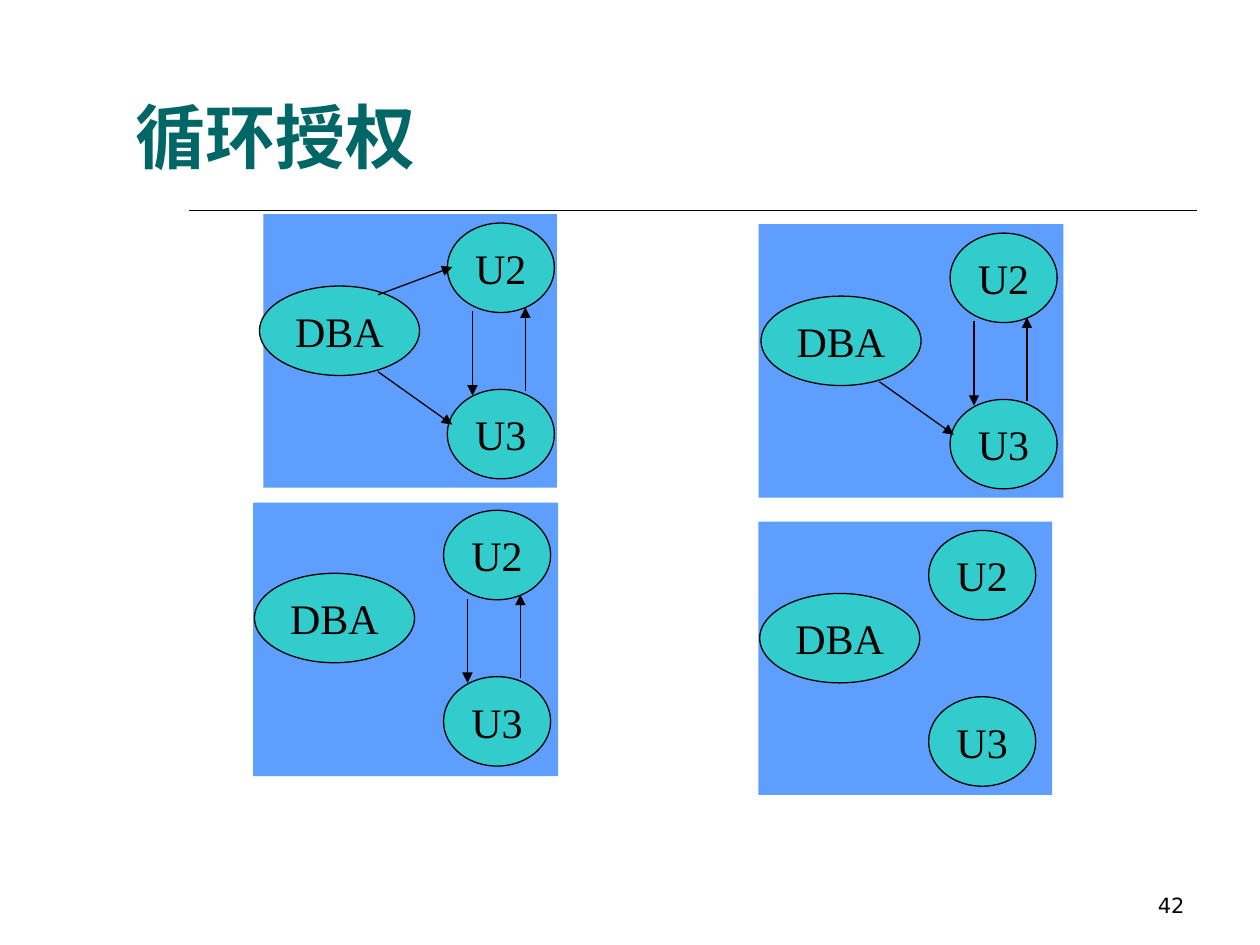
from lxml.etree import SubElement
from pptx import Presentation
from pptx.dml.color import RGBColor
from pptx.enum.shapes import MSO_CONNECTOR, MSO_SHAPE
from pptx.enum.text import MSO_ANCHOR, PP_ALIGN
from pptx.oxml.ns import qn
from pptx.util import Inches, Pt

BLACK = RGBColor(0x00, 0x00, 0x00)
TEAL = RGBColor(0x00, 0x66, 0x66)
TURQUOISE = RGBColor(0x33, 0xCC, 0xCC)
BLUE = RGBColor(0x5E, 0x9E, 0xFF)

deck = Presentation()
deck.slide_width = Inches(10)
deck.slide_height = Inches(7.5)
COLUMN = deck.slide_width / 10
ROW = deck.slide_height / 7.5
page = deck.slides.add_slide(deck.slide_layouts[6])


def write(box, text, font, size, color, align, anchor, bold=False):
    frame = box.text_frame
    frame.text = text
    frame.vertical_anchor = anchor
    para = frame.paragraphs[0]
    para.alignment = align
    span = para.runs[0]
    span.font.name = font
    span.font.size = Pt(size)
    span.font.bold = bold
    span.font.color.rgb = color


def draw_line(start_x, start_y, end_x, end_y, weight, arrow=False):
    line = page.shapes.add_connector(
        MSO_CONNECTOR.STRAIGHT,
        round(start_x * COLUMN), round(start_y * ROW),
        round(end_x * COLUMN), round(end_y * ROW))
    line.line.color.rgb = BLACK
    line.line.width = Pt(weight)
    if arrow:
        SubElement(line.line._get_or_add_ln(), qn("a:tailEnd"), type="triangle")
    SubElement(line._element.spPr, qn("a:effectLst"))


draw_line(1.5, 1.67, 9.5, 1.67, 1)

labels = [
    ("42", 7.17, 6.83, 2.33, 0.5, "DejaVu Sans", 12, BLACK, PP_ALIGN.RIGHT, False),
    ("循环授权", 0.98, 0.21, 8, 1.25, "Arial", 40, TEAL, PP_ALIGN.LEFT, True),
]
for text, left, top, width, height, font, size, color, align, bold in labels:
    box = page.shapes.add_textbox(
        round(left * COLUMN), round(top * ROW), round(width * COLUMN), round(height * ROW))
    box.text_frame.word_wrap = True
    write(box, text, font, size, color, align, MSO_ANCHOR.BOTTOM, bold)

PANEL_HEIGHT = 2.17
NODE_HEIGHT = 0.71
GRANTS = {
    "DBA-U3": (0.94, 1.18, 1.53, 1.6),
    "DBA-U2": (0.94, 0.57, 1.53, 0.35),
    "U2-U3": (1.69, 0.7, 1.69, 1.37),
    "U3-U2": (2.11, 1.33, 2.11, 0.67),
}
cycle = ["U2-U3", "U3-U2"]
stages = [
    ((6.02, 4.14, 2.33), (6.03, 4.21), 1.34, []),
    ((2.01, 3.99, 2.42), (2.02, 4.05), 1.5, cycle),
    ((6.02, 1.78, 2.42), (6.04, 1.85), 1.5, ["DBA-U3"] + cycle),
    ((2.09, 1.7, 2.33), (2.06, 1.77), 1.49, ["DBA-U3", "DBA-U2"] + cycle),
]

for (panel_left, panel_top, panel_width), (left, top), user_offset, grants in stages:
    panel = page.shapes.add_shape(
        MSO_SHAPE.RECTANGLE, round(panel_left * COLUMN), round(panel_top * ROW),
        round(panel_width * COLUMN), round(PANEL_HEIGHT * ROW))
    panel.shadow.inherit = False
    panel.fill.solid()
    panel.fill.fore_color.rgb = BLUE
    panel.line.fill.background()

    nodes = [("DBA", 0, 0.5, 1.27), ("U2", user_offset, 0, 0.85), ("U3", user_offset, 1.32, 0.85)]
    for name, across, down, width in nodes:
        node = page.shapes.add_shape(
            MSO_SHAPE.OVAL, round((left + across) * COLUMN), round((top + down) * ROW),
            round(width * COLUMN), round(NODE_HEIGHT * ROW))
        node.shadow.inherit = False
        node.fill.solid()
        node.fill.fore_color.rgb = TURQUOISE
        node.line.color.rgb = BLACK
        node.line.width = Pt(0.75)
        node.text_frame.word_wrap = False
        write(node, name, "Times New Roman", 24, BLACK, PP_ALIGN.CENTER, MSO_ANCHOR.MIDDLE)

    for grant in grants:
        start_x, start_y, end_x, end_y = GRANTS[grant]
        draw_line(left + start_x, top + start_y, left + end_x, top + end_y, 0.75, arrow=True)

deck.save("out.pptx")
